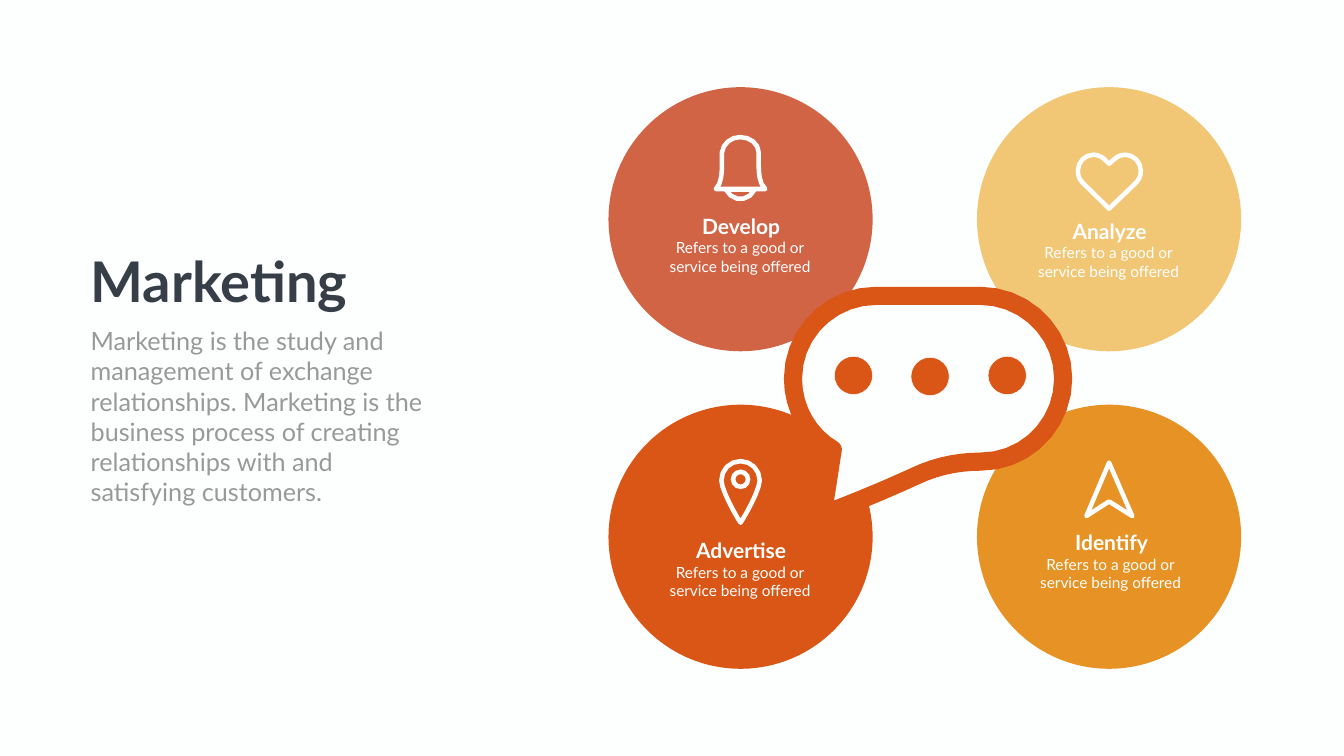
from dataclasses import dataclass
from math import dist, sqrt

from lxml import etree
from pptx import Presentation
from pptx.dml.color import RGBColor
from pptx.enum.shapes import MSO_SHAPE
from pptx.enum.text import MSO_AUTO_SIZE, PP_ALIGN
from pptx.oxml.ns import qn
from pptx.util import Emu, Pt

OVAL, DONUT = MSO_SHAPE.OVAL, MSO_SHAPE.DONUT
LEFT, CENTER = PP_ALIGN.LEFT, PP_ALIGN.CENTER
GROW = MSO_AUTO_SIZE.SHAPE_TO_FIT_TEXT

PX = 9144  # EMU in one px, 100 px to the inch

# A contour is a start point, then lines (x, y) and cubic curves (x1, y1, x2, y2, x, y)
Contour = list[tuple[int, ...]]


@dataclass(frozen=True)
class Theme:
    font: str = "Lato"
    paper: str = "FDFFFE"
    white: str = "FFFFFF"
    ink: str = "363E48"
    gray: str = "999999"
    orange: str = "D95616"
    red: str = "D26446"
    yellow: str = "F1C776"
    amber: str = "E69224"
    headline: int = 80
    intro: int = 36
    topic: int = 30
    detail: int = 22


@dataclass(frozen=True)
class Topic:
    name: str
    cx: int
    cy: int
    color: str
    text_cx: int
    text_top: int
    icon: list[Contour]


T = Theme()

BUBBLE: list[Contour] = [[
    (1944, 587), (2035, 587, 2109, 661, 2109, 751), (2109, 842, 2036, 916, 1945, 916),
    (1901, 916, 1857, 925, 1817, 944), (1745, 977, 1680, 1003, 1632, 1021),
    (1652, 892), (1604, 864, 1573, 810, 1573, 751), (1573, 661, 1647, 587, 1738, 587)]]
BELL: list[Contour] = [
    [(1518, 375), (1420, 375), (1434, 362, 1432, 330, 1432, 316), (1432, 303),
     (1434, 285, 1450, 272, 1468, 272), (1488, 272, 1505, 285, 1505, 303),
     (1505, 316), (1505, 330, 1503, 362, 1518, 375)],
    [(1440, 376), (1452, 401, 1485, 401, 1497, 376)]]
HEART: list[Contour] = [[
    (2200, 414), (2147, 362), (2141, 356, 2138, 348, 2138, 339),
    (2138, 322, 2152, 307, 2169, 307), (2178, 307, 2186, 311, 2192, 317), (2200, 325),
    (2209, 317), (2215, 311, 2223, 307, 2232, 307), (2249, 307, 2263, 322, 2263, 339),
    (2263, 348, 2260, 356, 2254, 362)]]
PIN: list[Contour] = [[
    (1469, 1037), (1462, 1027, 1431, 973, 1431, 953), (1431, 932, 1448, 915, 1469, 915),
    (1490, 915, 1507, 932, 1507, 953), (1507, 973, 1476, 1027, 1469, 1037)]]
ARROW: list[Contour] = [[(2200, 918), (2246, 1024), (2200, 995), (2155, 1024)]]

TOPICS = [
    Topic("Analyze", 2200, 435, T.yellow, 2200, 428, HEART),
    Topic("Identify", 2200, 1065, T.amber, 2204, 1046, ARROW),
    Topic("Develop", 1469, 435, T.red, 1469, 418, BELL),
    Topic("Advertise", 1469, 1065, T.orange, 1469, 1062, PIN),
]
DETAIL = ["Refers to a good or", "service being offered"]
INTRO = ("Marketing is the study and management of exchange relationships. Marketing is the "
         "business process of creating relationships with and satisfying customers.")
CIRCLE, DOT, RING = 524, 76, 39
BUBBLE_STROKE, ICON_STROKE = 36, 9
DOT_CENTERS = [(1998, 745), (1845, 747), (1693, 745)]


def paint(sp, color: str) -> None:
    sp.shadow.inherit = False
    sp.fill.solid()
    sp.fill.fore_color.rgb = RGBColor.from_string(color)
    sp.line.fill.background()


def add_round(s, preset, cx: int, cy: int, size: int, color: str):
    x, y = cx * PX - size * PX // 2, cy * PX - size * PX // 2
    sp = s.shapes.add_shape(preset, Emu(x), Emu(y), Emu(size * PX), Emu(size * PX))
    paint(sp, color)
    return sp


def flatten(contour: Contour) -> list[tuple[float, float]]:
    """Turn lines and curves into points in EMU, with more points on longer curves."""
    points = [contour[0]]
    for seg in contour[1:]:
        if len(seg) == 2:
            points.append(seg)
            continue
        ends = (points[-1], seg[:2], seg[2:4], seg[4:])
        steps = max(2, round(0.6 * sqrt(dist(ends[0], ends[3]))))
        for i in range(1, steps + 1):
            t = i / steps
            weights = ((1 - t) ** 3, 3 * t * (1 - t) ** 2, 3 * t * t * (1 - t), t ** 3)
            points.append(tuple(sum(w * e[k] for w, e in zip(weights, ends)) for k in (0, 1)))
    return [(x * PX, y * PX) for x, y in points]


def add_outline(s, contours: list[Contour], color: str, stroke: int):
    first, *others = [flatten(c) for c in contours]
    builder = s.shapes.build_freeform(*first[0], scale=1.0)
    builder.add_line_segments(first[1:], close=True)
    for points in others:
        builder.move_to(*points[0])
        builder.add_line_segments(points[1:], close=True)
    sp = builder.convert_to_shape()
    sp.shadow.inherit = False
    sp.fill.background()
    sp.line.color.rgb = RGBColor.from_string(color)
    sp.line.width = Emu(stroke * PX)
    # Rounded corners
    etree.SubElement(sp.line._get_or_add_ln(), qn("a:round"))
    return sp


def add_text(s, box: tuple[int, int, int, int], lines: list[str], size: int,
             color: str, bold: bool = False, align=CENTER) -> None:
    tf = s.shapes.add_textbox(*(Emu(v * PX) for v in box)).text_frame
    tf.word_wrap, tf.auto_size = True, GROW
    style = {"name": T.font, "size": Pt(size), "bold": bold}
    for i, line in enumerate(lines):
        p = tf.add_paragraph() if i else tf.paragraphs[0]
        p.alignment = align
        r = p.add_run()
        r.text = line
        for key, value in style.items():
            setattr(r.font, key, value)
        r.font.color.rgb = RGBColor.from_string(color)


def main() -> None:
    prs = Presentation()
    prs.slide_width, prs.slide_height = Emu(2666 * PX), Emu(1500 * PX)
    s = prs.slides.add_slide(prs.slide_layouts[6])
    s.background.fill.solid()
    s.background.fill.fore_color.rgb = RGBColor.from_string(T.paper)

    # Topic circles
    for topic in TOPICS:
        add_round(s, OVAL, topic.cx, topic.cy, CIRCLE, topic.color)

    # Speech bubble with three dots
    bubble = add_outline(s, BUBBLE, T.orange, BUBBLE_STROKE)
    bubble.fill.solid()
    bubble.fill.fore_color.rgb = RGBColor.from_string(T.paper)
    for cx, cy in DOT_CENTERS:
        dot = add_round(s, OVAL, cx, cy, DOT, T.orange)
        dot.line.color.rgb = RGBColor.from_string(T.white)
        dot.line.width = Pt(0.75)

    # Icons and topic texts
    for topic in TOPICS:
        add_outline(s, topic.icon, T.white, ICON_STROKE)
        add_text(s, (topic.text_cx - 120, topic.text_top, 242, 61), [topic.name],
                 T.topic, T.paper, bold=True)
        add_text(s, (topic.text_cx - 196, topic.text_top + 50, 390, 84), DETAIL,
                 T.detail, T.paper)
    ring = add_round(s, DONUT, 1469, 951, RING, T.white)
    ring.adjustments[0] = 0.24

    # Headline and introduction
    add_text(s, (170, 485, 705, 145), ["Marketing"], T.headline, T.ink, bold=True, align=LEFT)
    add_text(s, (170, 641, 686, 374), [INTRO], T.intro, T.gray, align=LEFT)

    prs.save("out.pptx")


if __name__ == "__main__":
    main()
